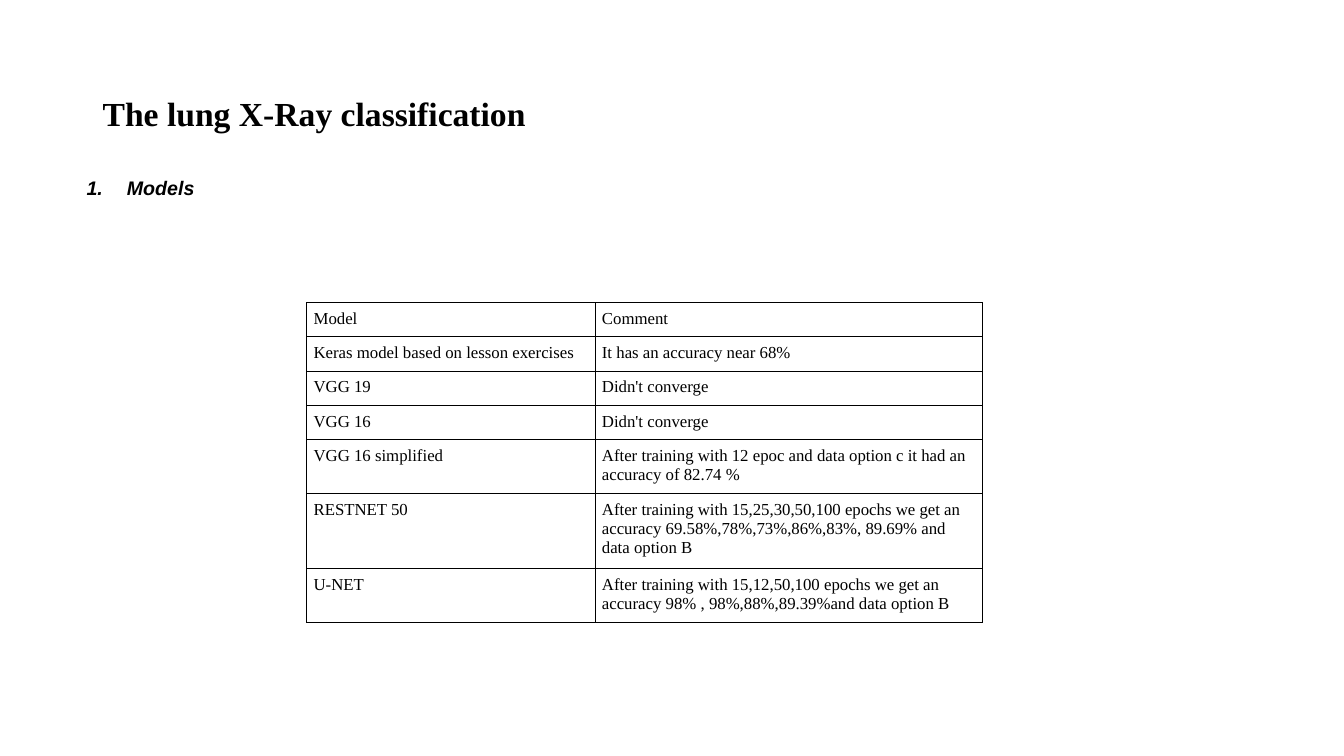
import dataclasses
import typing

import pptx
import pptx.dml.color
import pptx.enum.text
import pptx.oxml
import pptx.oxml.ns
import pptx.util


@dataclasses.dataclass(frozen=True)
class Theme:
    ink: str = "000000"
    serif: str = "Times New Roman"
    sans: str = "Arial"
    title: float = 24
    head: float = 14
    cell: float = 12
    rule: float = 0.5


@dataclasses.dataclass(frozen=True)
class Box:
    left: float
    top: float
    width: float
    height: float


class Row(typing.NamedTuple):
    model: str
    note: str
    lines: int = 1


THEME = Theme()
WIDE = pptx.util.Inches(13.33)
HIGH = pptx.util.Inches(7.5)

TITLE = Box(6.9, 5.33, 86.27, 19.33)
HEAD = Box(5.7, 22, 32.48, 5.87)
GRID = Box(22.81, 40, 50.26, 42.67)
SPLIT = (42.69, 57.31)
PAD = 0.07
LINE = 0.19

ROWS = (
    Row("Model", "Comment"),
    Row("Keras model based on lesson exercises", "It has an accuracy near 68%"),
    Row("VGG 19", "Didn't converge"),
    Row("VGG 16", "Didn't converge"),
    Row("VGG 16 simplified",
        "After training with 12 epoc and data option c it had an accuracy of 82.74 %", 2),
    Row("RESTNET 50",
        "After training with 15,25,30,50,100 epochs we get an accuracy "
        "69.58%,78%,73%,86%,83%, 89.69% and data option B", 3),
    Row("U-NET",
        "After training with 15,12,50,100 epochs we get an accuracy "
        "98% , 98%,88%,89.39%and data option B", 2),
)


def place(box: Box) -> tuple[int, int, int, int]:
    return (int(WIDE * box.left / 100), int(HIGH * box.top / 100),
            int(WIDE * box.width / 100), int(HIGH * box.height / 100))


def write(frame, text: str, *, size: float, font: str = THEME.serif,
          bold: bool = False, slant: bool = False,
          before: float = 0, after: float = 0):
    para = frame.paragraphs[0]
    para.space_before = pptx.util.Pt(before)
    para.space_after = pptx.util.Pt(after)
    run = para.add_run()
    run.text = text
    run.font.size = pptx.util.Pt(size)
    run.font.name = font
    run.font.bold = bold
    run.font.italic = slant
    run.font.color.rgb = pptx.dml.color.RGBColor.from_string(THEME.ink)
    return para


def frame(slide, box: Box, pad: float, anchor):
    area = slide.shapes.add_textbox(*place(box)).text_frame
    area.word_wrap = True
    area.vertical_anchor = anchor
    area.margin_top = area.margin_bottom = pptx.util.Inches(pad)
    return area


def number(para) -> None:
    props = para._p.get_or_add_pPr()
    hang = pptx.util.Inches(0.4)
    props.set("marL", str(hang))
    props.set("indent", str(-hang))
    mark = pptx.oxml.parse_xml(
        f'<a:buAutoNum {pptx.oxml.ns.nsdecls("a")} type="arabicPeriod"/>')
    props.append(mark)


def edge(cell) -> None:
    props = cell._tc.get_or_add_tcPr()
    for spot, side in enumerate("LRTB"):
        props.insert(spot, pptx.oxml.parse_xml(
            f'<a:ln{side} {pptx.oxml.ns.nsdecls("a")} w="{pptx.util.Pt(THEME.rule)}">'
            f'<a:solidFill><a:srgbClr val="{THEME.ink}"/></a:solidFill></a:ln{side}>'))


def fill(cell, text: str) -> None:
    edge(cell)
    cell.fill.background()
    pad = pptx.util.Inches(PAD)
    cell.margin_left = cell.margin_right = pad
    cell.margin_top = cell.margin_bottom = pad
    write(cell.text_frame, text, size=THEME.cell)


def draw(slide, box: Box, rows: tuple[Row, ...]) -> None:
    table = slide.shapes.add_table(len(rows), len(SPLIT), *place(box)).table
    table.first_row = False
    table.horz_banding = False
    for col, share in zip(table.columns, SPLIT):
        col.width = int(place(box)[2] * share / 100)
    for line, row in zip(table.rows, rows):
        line.height = pptx.util.Inches(2 * PAD + LINE * row.lines)
        for cell, text in zip(line.cells, (row.model, row.note)):
            fill(cell, text)


def main() -> None:
    deck = pptx.Presentation()
    deck.slide_width, deck.slide_height = WIDE, HIGH
    slide = deck.slides.add_slide(deck.slide_layouts[6])
    anchor = pptx.enum.text.MSO_ANCHOR
    write(frame(slide, TITLE, 0.05, anchor.MIDDLE), "The lung X-Ray classification",
          size=THEME.title, bold=True, before=12, after=6)
    number(write(frame(slide, HEAD, 0.1, anchor.TOP), "Models", size=THEME.head,
                 font=THEME.sans, bold=True, slant=True, before=12, after=6))
    draw(slide, GRID, ROWS)
    deck.save("out.pptx")


if __name__ == "__main__":
    main()
